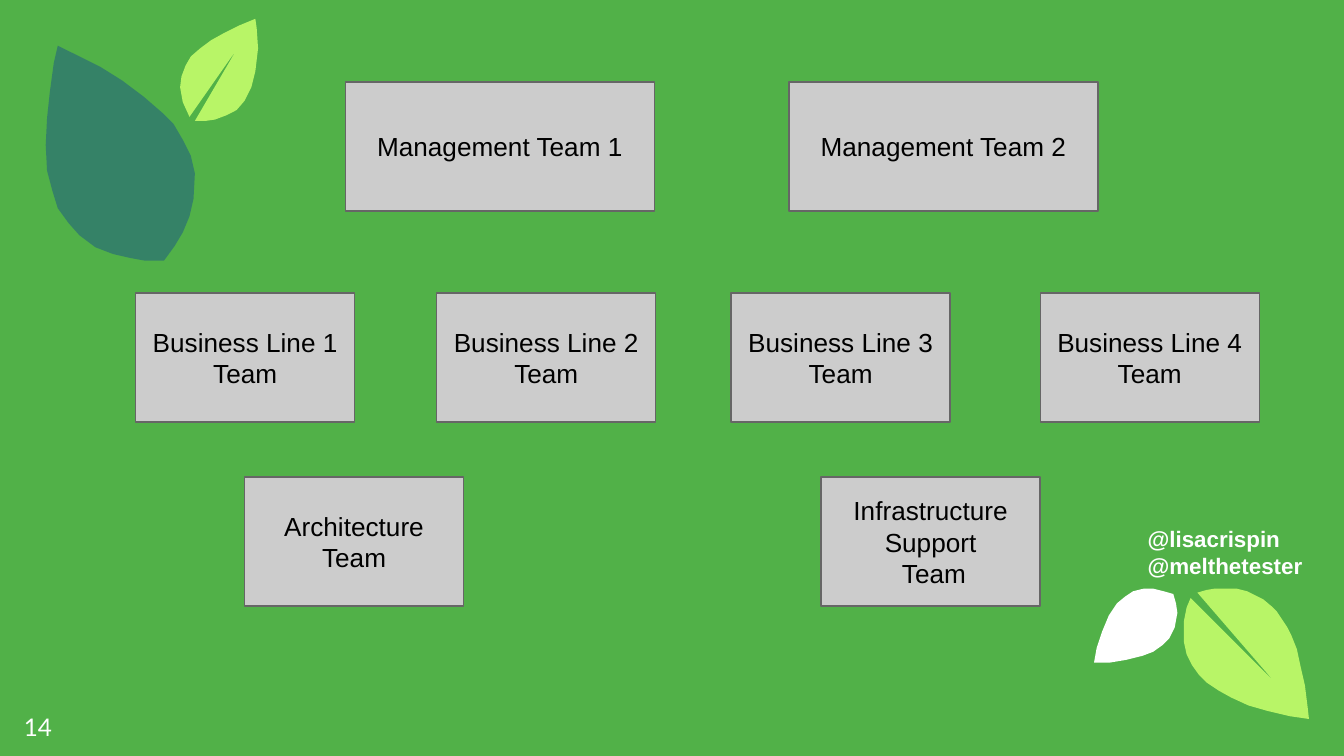
from dataclasses import dataclass

from lxml import etree
from pptx import Presentation
from pptx.dml.color import RGBColor
from pptx.enum.shapes import MSO_SHAPE
from pptx.enum.text import MSO_ANCHOR, PP_ALIGN
from pptx.oxml.ns import qn
from pptx.util import Inches, Pt

RECTANGLE = MSO_SHAPE.RECTANGLE
MIDDLE = MSO_ANCHOR.MIDDLE
LEFT, CENTER = PP_ALIGN.LEFT, PP_ALIGN.CENTER
SLIDE_WIDTH = 10
SLIDE_HEIGHT = SLIDE_WIDTH * 9 / 16


@dataclass(frozen=True)
class Theme:
    background: str = "51B148"
    lime: str = "B8F567"
    white: str = "FFFFFF"
    blue: str = "1D5885"
    box: str = "CCCCCC"
    border: str = "666666"
    ink: str = "000000"
    font: str = "Arial"
    number_font: str = "Lato"
    team_size: int = 14
    number_size: int = 13
    handle_size: int = 12


THEME = Theme()

# Leaf outlines in inches from the top left corner of each leaf
LARGE_LIME_LEAF = [
    (.73, .23), (.69, .17), (.65, .13), (.59, .08), (.53, .05), (.47, .02), (.39, 0),
    (.23, 0), (.17, .01), (.10, .03), (.67, .69), (.05, .07), (.02, .14), (0, .24),
    (0, .40), (.02, .49), (.06, .57), (.11, .64), (.17, .70), (.26, .76), (.35, .81),
    (.48, .87), (.62, .91), (.79, .95), (.93, .97), (.92, .88), (.90, .72), (.87, .59),
    (.84, .45), (.80, .35), (.77, .29),
]
WHITE_LEAF = [
    (.59, .04), (.52, .02), (.44, 0), (.37, 0), (.29, .02), (.23, .06), (.17, .11),
    (.11, .20), (.06, .32), (.02, .44), (0, .55), (.12, .55), (.24, .53), (.36, .50),
    (.44, .47), (.51, .42), (.56, .37), (.60, .29), (.62, .18), (.61, .11),
]
SMALL_LIME_LEAF = [
    (0, .51), (.02, .62), (.07, .73), (.42, .23), (.11, .76), (.19, .76), (.26, .75),
    (.34, .72), (.42, .68), (.48, .61), (.53, .51), (.56, .39), (.58, .22), (.57, .07),
    (.56, 0), (.44, .05), (.32, .11), (.23, .16), (.15, .22), (.08, .28), (.04, .35),
    (.01, .43),
]
BLUE_LEAF = [
    (.88, 1.60), (.96, 1.49), (1.02, 1.39), (1.07, 1.27), (1.10, 1.14), (1.11, .95),
    (1.08, .82), (1.02, .70), (.95, .58), (.88, .51), (.73, .38), (.57, .26), (.41, .16),
    (.21, .06), (.09, 0), (.06, .13), (.03, .35), (.01, .54), (0, .74), (.01, .93),
    (.05, 1.08), (.09, 1.21), (.17, 1.32), (.25, 1.41), (.37, 1.50), (.50, 1.55),
    (.63, 1.58), (.74, 1.60),
]


def color(value):
    return RGBColor.from_string(value)


def fill_shape(shape, value):
    shape.shadow.inherit = False
    shape.fill.solid()
    shape.fill.fore_color.rgb = color(value)


def add_leaf(slide, left, top, outline, fill, opacity=100):
    points = [(Inches(left + x), Inches(top + y)) for x, y in outline]
    builder = slide.shapes.build_freeform(*points[0], scale=1.0)
    builder.add_line_segments(points[1:], close=True)
    leaf = builder.convert_to_shape()
    fill_shape(leaf, fill)
    leaf.line.fill.background()
    if opacity < 100:
        solid_color = leaf.element.spPr.find(".//" + qn("a:srgbClr"))
        etree.SubElement(solid_color, qn("a:alpha")).set("val", str(opacity * 1000))


def write_text(shape, lines, font, size, ink, align=LEFT, bold=False, bottom=0.1):
    frame = shape.text_frame
    frame_format = {
        "word_wrap": True, "vertical_anchor": MIDDLE,
        "margin_left": Inches(0.1), "margin_right": Inches(0.1),
        "margin_top": Inches(0.1), "margin_bottom": Inches(bottom),
    }
    for name, value in frame_format.items():
        setattr(frame, name, value)
    frame.text = "\n".join(lines)
    for paragraph in frame.paragraphs:
        paragraph.alignment = align
        for name, value in {"name": font, "size": Pt(size), "bold": bold}.items():
            setattr(paragraph.font, name, value)
        paragraph.font.color.rgb = color(ink)


def add_label(slide, box, text, **text_format):
    label = slide.shapes.add_textbox(*map(Inches, box))
    write_text(label, [text], ink=THEME.white, **text_format)


def add_team_row(slide, top, width, teams, height=0.96):
    """Place one row of teams, given as pairs of left edge and text lines."""
    for left, lines in teams:
        team = slide.shapes.add_shape(RECTANGLE, *map(Inches, (left, top, width, height)))
        fill_shape(team, THEME.box)
        team.line.color.rgb = color(THEME.border)
        team.line.width = Pt(0.75)
        write_text(team, lines, THEME.font, THEME.team_size, THEME.ink, CENTER)


def add_decoration(slide):
    add_leaf(slide, 8.81, 4.38, LARGE_LIME_LEAF, THEME.lime)
    add_leaf(slide, 8.14, 4.38, WHITE_LEAF, THEME.white)
    add_leaf(slide, 1.34, 0.14, SMALL_LIME_LEAF, THEME.lime)
    add_leaf(slide, 0.34, 0.34, BLUE_LEAF, THEME.blue, opacity=52)


def main():
    presentation = Presentation()
    presentation.slide_width = Inches(SLIDE_WIDTH)
    presentation.slide_height = Inches(SLIDE_HEIGHT)
    slide = presentation.slides.add_slide(presentation.slide_layouts[6])
    slide.background.fill.solid()
    slide.background.fill.fore_color.rgb = color(THEME.background)

    add_decoration(slide)
    # The deep bottom margin lifts the handles clear of the leaves
    add_label(slide, (8.44, 4, 1.56, 0.6), "@lisacrispin @melthetester",
              font=THEME.font, size=THEME.handle_size, bold=True, bottom=0.48)
    add_label(slide, (0.08, 5.19, 0.6, 0.43), "14",
              font=THEME.number_font, size=THEME.number_size)

    add_team_row(slide, 0.61, 2.3, [
        (left, [f"Management Team {number}"])
        for number, left in enumerate((2.57, 5.87), start=1)
    ])
    add_team_row(slide, 2.18, 1.63, [
        (left, [f"Business Line {number} Team"])
        for number, left in enumerate((1.01, 3.25, 5.44, 7.74), start=1)
    ])
    add_team_row(slide, 3.55, 1.63, [
        (1.82, ["Architecture Team"]),
        (6.11, ["Infrastructure Support", " Team"]),
    ])
    presentation.save("out.pptx")


if __name__ == "__main__":
    main()
